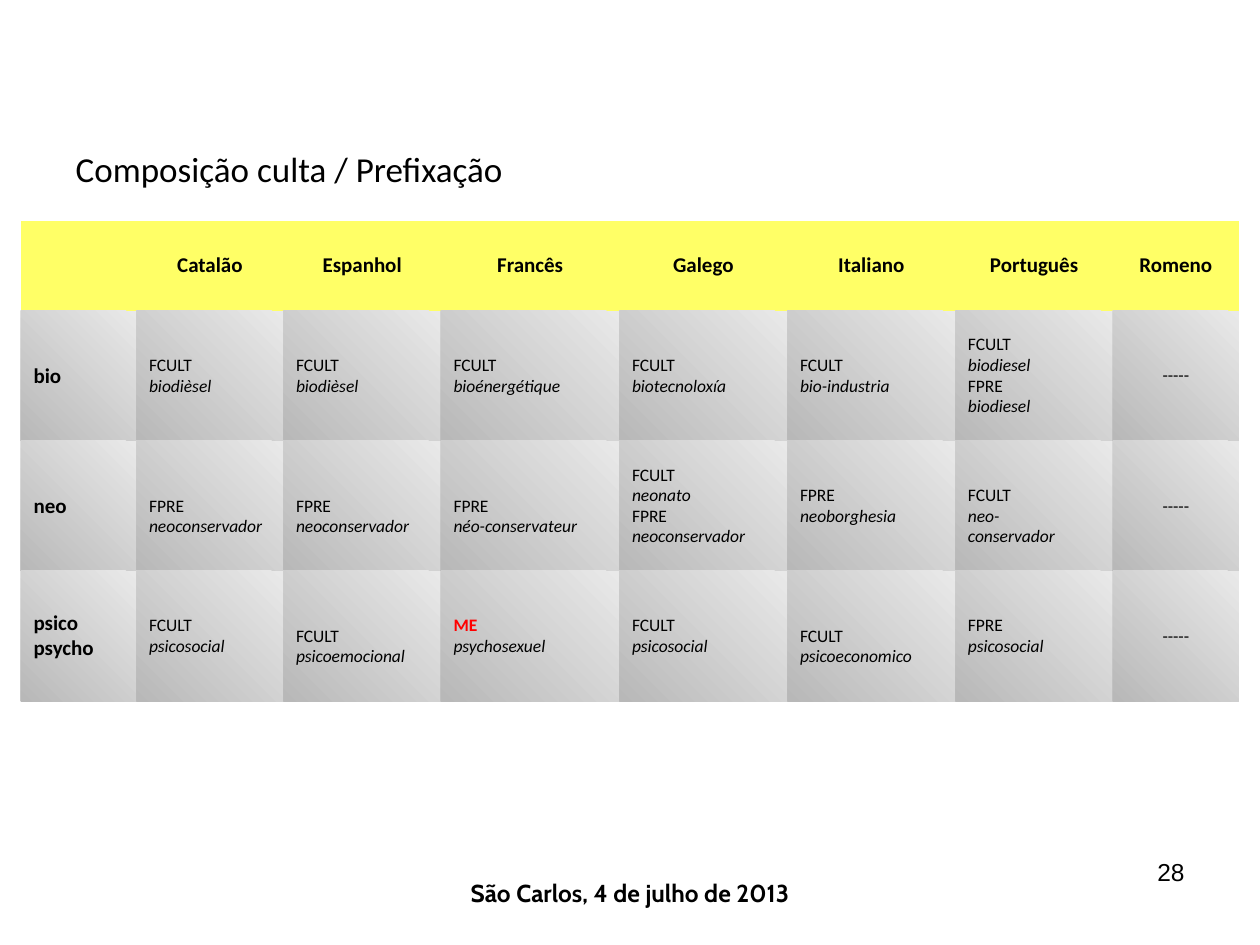
from dataclasses import dataclass

from pptx import Presentation, util as u
from pptx.dml.color import RGBColor
from pptx.enum import text
from pptx.oxml.ns import qn

COLORS = {
    "ink": "000000",
    "alert": "FF0000",
    "header": "FFFF66",
    "light": "E9E9E9",
    "dark": "B8B8B8",
}
LANGUAGES = ["Catalão", "Espanhol", "Francês", "Galego", "Italiano", "Português", "Romeno"]
COLUMN_WIDTHS = [66, 84, 90, 102, 96, 96, 90, 72]
HEADER_HEIGHT, ROW_HEIGHT = 51.5, 74.4
PROCESS_TAGS = {"FCULT", "FPRE", "ME"}
NO_STYLE_NO_GRID = "{2D5ABB26-0587-4C30-8999-92F81FD0307C}"
CENTER, LEFT, RIGHT = text.PP_ALIGN.CENTER, text.PP_ALIGN.LEFT, text.PP_ALIGN.RIGHT


@dataclass
class Example:
    lines: list[str]
    lowered: bool = False


@dataclass
class FormativeRow:
    label: list[str]
    examples: list[Example]


@dataclass
class Caption:
    wording: str
    left: float
    top: float
    width: float
    height: float
    font_name: str
    bold: bool
    alignment: text.PP_ALIGN


ROWS = [
    FormativeRow(["bio"], [
        Example(["FCULT", "biodièsel"]),
        Example(["FCULT", "biodièsel"]),
        Example(["FCULT", "bioénergétique"]),
        Example(["FCULT", "biotecnoloxía"]),
        Example(["FCULT", "bio-industria"]),
        Example(["FCULT", "biodiesel", "FPRE", "biodiesel"]),
        Example(["-----"]),
    ]),
    FormativeRow(["neo"], [
        Example(["FPRE", "neoconservador"], lowered=True),
        Example(["FPRE", "neoconservador"], lowered=True),
        Example(["FPRE", "néo-conservateur"], lowered=True),
        Example(["FCULT", "neonato", "FPRE", "neoconservador"]),
        Example(["FPRE", "neoborghesia"]),
        Example(["FCULT", "neo-", "conservador"], lowered=True),
        Example(["-----"]),
    ]),
    FormativeRow(["psico", "psycho"], [
        Example(["FCULT", "psicosocial"]),
        Example(["FCULT", "psicoemocional"], lowered=True),
        Example(["ME", "psychosexuel"]),
        Example(["FCULT", "psicosocial"]),
        Example(["FCULT", "psicoeconomico"], lowered=True),
        Example(["FPRE", "psicosocial"]),
        Example(["-----"]),
    ]),
]
CAPTIONS = [
    Caption("São Carlos, 4 de julho de 2013", 246, 498, 228, 31, "Cabin", True, CENTER),
    Caption("28", 516, 486, 168, 43, "Arial", False, RIGHT),
]


def set_font(paragraph, name: str, size: float, bold: bool = False,
             italic: bool = False, color: str = "ink") -> None:
    font = paragraph.font
    font.name, font.size = name, u.Pt(size)
    font.bold, font.italic = bold, italic
    font.color.rgb = RGBColor.from_string(COLORS[color])


def add_lines(cell, lines: list[str], alignment: text.PP_ALIGN = LEFT) -> list:
    cell.vertical_anchor = text.MSO_ANCHOR.MIDDLE
    cell.text_frame.text = "\n".join(lines)
    paragraphs = list(cell.text_frame.paragraphs)
    for paragraph in paragraphs:
        paragraph.alignment = alignment
        paragraph.line_spacing = 0.97
    return paragraphs


def fill_gradient(cell) -> None:
    cell.fill.gradient()
    cell.fill.gradient_angle = 225
    for stop, color in zip(cell.fill.gradient_stops, ("light", "dark")):
        stop.color.rgb = RGBColor.from_string(COLORS[color])


def write_heading(cell, lines: list[str], alignment: text.PP_ALIGN) -> None:
    for paragraph in add_lines(cell, lines, alignment):
        set_font(paragraph, "Calibri", 12, bold=True)


def write_example(cell, example: Example) -> None:
    is_empty = example.lines == ["-----"]
    for paragraph in add_lines(cell, example.lines, CENTER if is_empty else LEFT):
        is_mixed = paragraph.text == "ME"
        is_word = not is_empty and paragraph.text not in PROCESS_TAGS
        set_font(paragraph, "Calibri", 10, bold=is_mixed, italic=is_word,
                 color="alert" if is_mixed else "ink")
    if example.lowered:
        cell.margin_top = u.Pt(15.4)


def add_language_table(slide) -> None:
    frame = slide.shapes.add_table(
        len(ROWS) + 1, len(COLUMN_WIDTHS), u.Pt(12), u.Pt(126),
        u.Pt(sum(COLUMN_WIDTHS)), u.Pt(HEADER_HEIGHT + len(ROWS) * ROW_HEIGHT))
    table = frame.table
    table.first_row = table.horz_banding = False
    for style in frame.element.iter(qn("a:tableStyleId")):
        style.text = NO_STYLE_NO_GRID
    for column, width in zip(table.columns, COLUMN_WIDTHS):
        column.width = u.Pt(width)
    for index, row in enumerate(table.rows):
        row.height = u.Pt(ROW_HEIGHT if index else HEADER_HEIGHT)

    for column, language in enumerate(["", *LANGUAGES]):
        cell = table.cell(0, column)
        cell.fill.solid()
        cell.fill.fore_color.rgb = RGBColor.from_string(COLORS["header"])
        write_heading(cell, [language], CENTER)

    for index, row in enumerate(ROWS, start=1):
        write_heading(table.cell(index, 0), row.label, LEFT)
        for column, example in enumerate(row.examples, start=1):
            write_example(table.cell(index, column), example)
        for cell in table.rows[index].cells:
            fill_gradient(cell)


def add_caption(slide, caption: Caption) -> None:
    box = slide.shapes.add_textbox(u.Pt(caption.left), u.Pt(caption.top),
                                   u.Pt(caption.width), u.Pt(caption.height))
    box.text_frame.word_wrap = True
    paragraph = box.text_frame.paragraphs[0]
    paragraph.text = caption.wording
    paragraph.alignment = caption.alignment
    set_font(paragraph, caption.font_name, 14, bold=caption.bold)


def write_title(slide, wording: str) -> None:
    title = slide.shapes.title
    title.left, title.top = u.Pt(36), u.Pt(66)
    title.width, title.height = u.Pt(654), u.Pt(60)
    title.text_frame.vertical_anchor = text.MSO_ANCHOR.MIDDLE
    paragraph = title.text_frame.paragraphs[0]
    paragraph.text = wording
    paragraph.alignment = LEFT
    set_font(paragraph, "Calibri", 20)


def main() -> None:
    presentation = Presentation()
    presentation.slide_width, presentation.slide_height = u.Pt(720), u.Pt(540)
    slide = presentation.slides.add_slide(presentation.slide_layouts[5])
    write_title(slide, "Composição culta / Prefixação")
    add_language_table(slide)
    for caption in CAPTIONS:
        add_caption(slide, caption)
    presentation.save("out.pptx")


if __name__ == "__main__":
    main()
